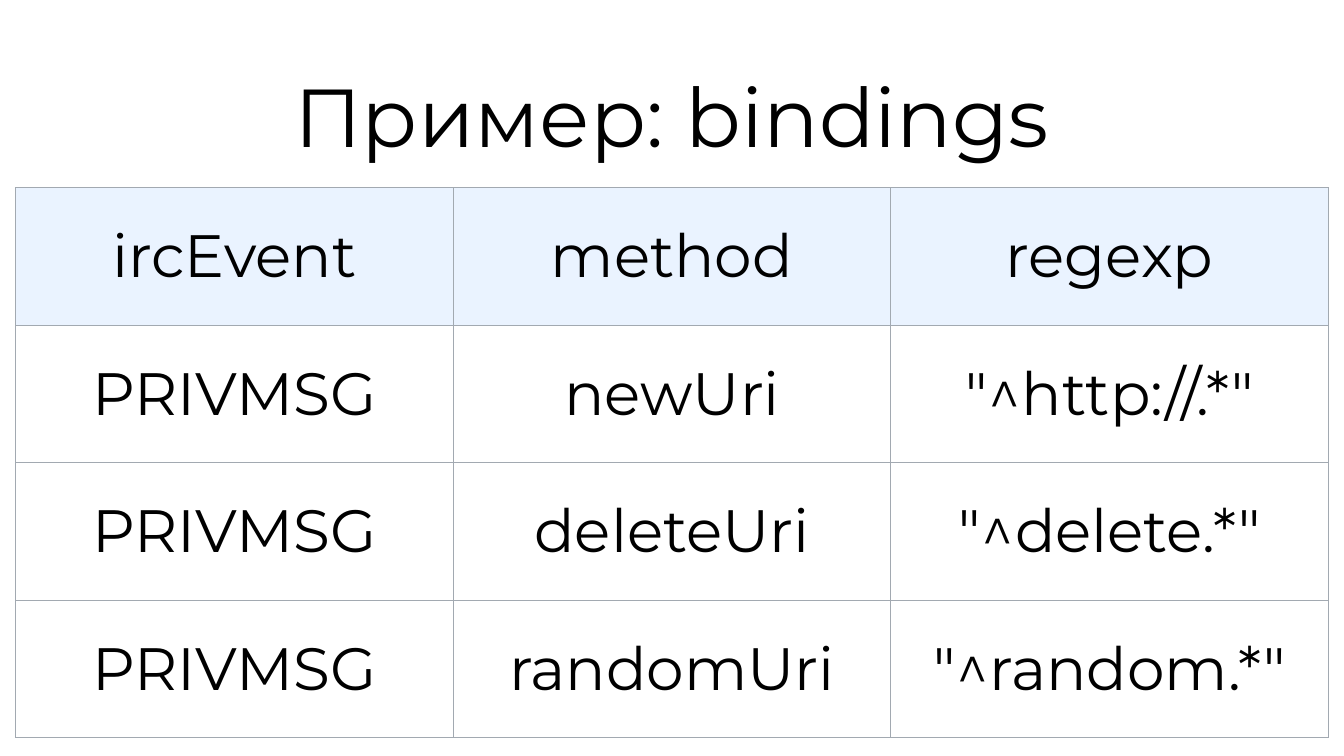
from lxml import etree
from pptx import Presentation
from pptx.dml.color import RGBColor
from pptx.enum.text import MSO_ANCHOR, PP_ALIGN
from pptx.oxml.ns import qn
from pptx.util import Pt

CENTER = PP_ALIGN.CENTER
MIDDLE = MSO_ANCHOR.MIDDLE
COLORS = {"text": "000000", "header": "EAF3FF", "body": "FFFFFF", "border": "A2A9B1"}
FONT = "Montserrat"
BORDER_WIDTH = 0.75
BLANK_LAYOUT = 6

BINDINGS = [
    ("ircEvent", "method", "regexp"),
    ("PRIVMSG", "newUri", '"^http://.*"'),
    ("PRIVMSG", "deleteUri", '"^delete.*"'),
    ("PRIVMSG", "randomUri", '"^random.*"'),
]


class SlideBuilder:
    """Holds the style and the current slide."""

    def __init__(self, slide):
        """Start on the given slide."""
        self.slide = slide

    def add_text(self, frame, text, size):
        """Put one centred run into a text frame."""
        paragraph = frame.paragraphs[0]
        paragraph.alignment = CENTER
        run = paragraph.add_run()
        run.text = text
        run.font.name = FONT
        run.font.size = Pt(size)
        run.font.color.rgb = RGBColor.from_string(COLORS["text"])

    def title(self, text, left, top, width, height, size):
        """Add a title, centred both ways."""
        box = self.slide.shapes.add_textbox(Pt(left), Pt(top), Pt(width), Pt(height))
        frame = box.text_frame
        frame.word_wrap = True
        frame.vertical_anchor = MIDDLE
        self.add_text(frame, text, size)

    def border(self, cell):
        """Draw a thin line on all four sides of a cell."""
        properties = cell._tc.get_or_add_tcPr()
        for position, side in enumerate(("a:lnL", "a:lnR", "a:lnT", "a:lnB")):
            line = etree.Element(qn(side), w=str(Pt(BORDER_WIDTH)))
            fill = etree.SubElement(line, qn("a:solidFill"))
            etree.SubElement(fill, qn("a:srgbClr"), val=COLORS["border"])
            properties.insert(position, line)

    def table(self, rows, left, top, column_width, row_height, size):
        """Add a table of equal cells with a tinted first row."""
        column_count = len(rows[0])
        table = self.slide.shapes.add_table(
            len(rows), column_count, Pt(left), Pt(top),
            Pt(column_width * column_count), Pt(row_height * len(rows))).table
        for r, row in enumerate(rows):
            for c, text in enumerate(row):
                cell = table.cell(r, c)
                cell.vertical_anchor = MIDDLE
                cell.fill.solid()
                tint = COLORS["body" if r else "header"]
                cell.fill.fore_color.rgb = RGBColor.from_string(tint)
                self.add_text(cell.text_frame, text, size)
                self.border(cell)


def main():
    """Build and save the bindings slide."""
    deck = Presentation()
    deck.slide_width, deck.slide_height = Pt(720), Pt(405)
    builder = SlideBuilder(deck.slides.add_slide(deck.slide_layouts[BLANK_LAYOUT]))
    builder.title("Пример: bindings", 36, 16.5, 648, 90, 44)
    builder.table(BINDINGS, 8.4, 100.6, 234.4, 73.7, 32)
    deck.save("out.pptx")


main()
